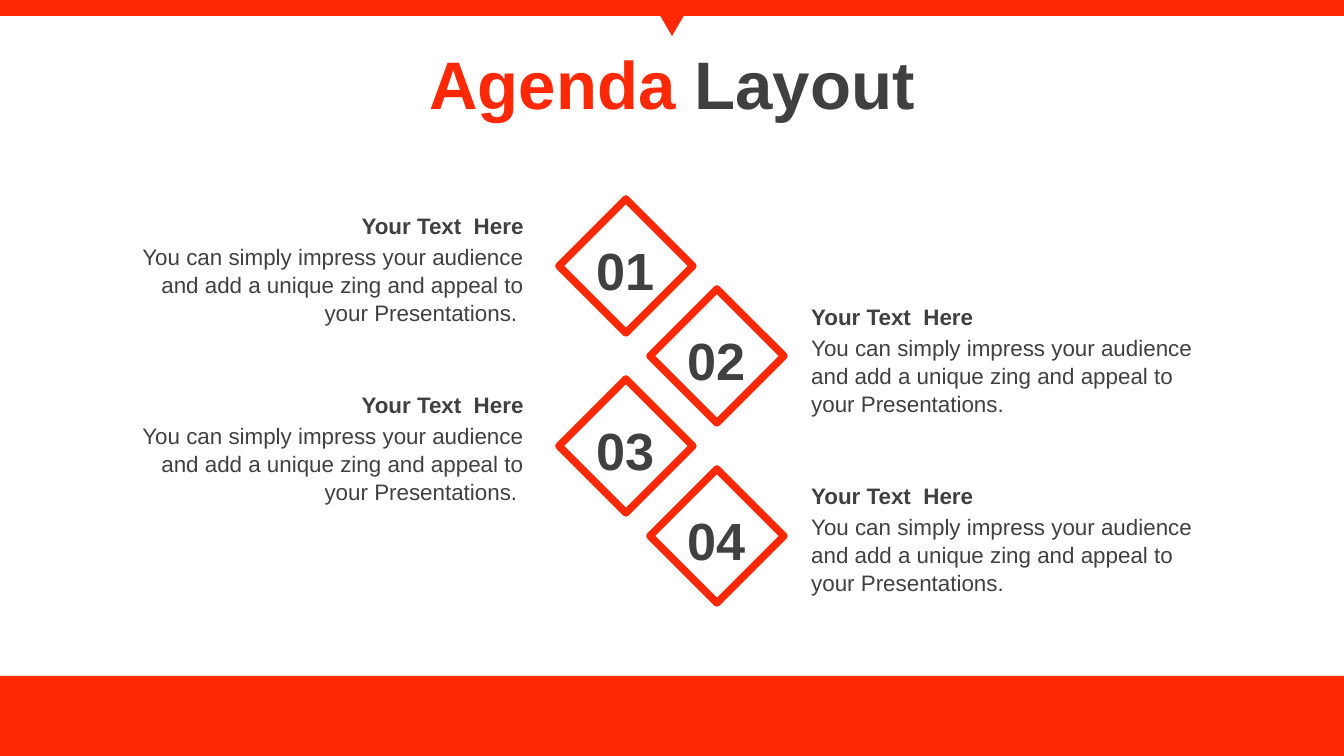
"""Build an agenda slide with four numbered diamonds and their descriptions."""
import pptx
import pptx.dml.color
import pptx.enum.shapes
import pptx.enum.text
import pptx.util
from lxml import etree

RED = pptx.dml.color.RGBColor(0xFD, 0x29, 0x06)
GREY = pptx.dml.color.RGBColor(0x40, 0x40, 0x40)
SHAPE = pptx.enum.shapes.MSO_SHAPE
ALIGN = pptx.enum.text.PP_ALIGN
EMU_PER_PX = 914400 / 134.4


def px(*lengths):
    return [pptx.util.Emu(round(length * EMU_PER_PX)) for length in lengths]


def add_text(slide, box, text, size, bold, align, wrap=True):
    frame = slide.shapes.add_textbox(*px(*box)).text_frame
    frame.word_wrap = wrap
    paragraph = frame.paragraphs[0]
    paragraph.text = text
    paragraph.alignment = align
    paragraph.line_spacing = 1.05
    paragraph.font.name = "Arial"
    paragraph.font.size = pptx.util.Pt(size)
    paragraph.font.bold = bold
    paragraph.font.color.rgb = GREY


deck = pptx.Presentation()
deck.slide_width, deck.slide_height = px(1344, 756)
slide = deck.slides.add_slide(deck.slide_layouts[5])

for kind, box, rotation in [
    (SHAPE.RECTANGLE, (0, 676, 1344, 80), 0),
    (SHAPE.RECTANGLE, (0, 0, 1344, 16), 0),
    (SHAPE.ISOSCELES_TRIANGLE, (651, 0, 42, 36), 180),
]:
    band = slide.shapes.add_shape(kind, *px(*box))
    band.rotation = rotation
    band.shadow.inherit = False
    band.fill.solid()
    band.fill.fore_color.rgb = RED
    band.line.fill.background()

title = slide.shapes.title
title.left, title.top, title.width, title.height = px(0, 17, 1344, 131)
title.text_frame.vertical_anchor = pptx.enum.text.MSO_ANCHOR.MIDDLE
heading = title.text_frame.paragraphs[0]
heading.alignment = ALIGN.CENTER
heading.font.name = "Arial"
heading.font.size = pptx.util.Pt(36)
heading.font.bold = True
for word, color in [("Agenda ", RED), ("Layout", GREY)]:
    run = heading.add_run()
    run.text = word
    run.font.color.rgb = color

description = (
    "You can simply impress your audience and add a unique zing "
    "and appeal to your Presentations."
)
sides = [
    (559, 99, ALIGN.RIGHT, description + " "),
    (650, 798, ALIGN.LEFT, description),
]
for index in range(4):
    row, side = divmod(index, 2)
    diamond_left, text_left, align, body = sides[side]
    diamond_top = 199 + 90 * index
    text_top = 204 + 179 * row + 91 * side

    diamond = slide.shapes.add_shape(
        SHAPE.DIAMOND, *px(diamond_left, diamond_top, 134, 134))
    diamond.shadow.inherit = False
    diamond.fill.background()
    diamond.line.color.rgb = RED
    diamond.line.width = pptx.util.Pt(4)
    outline = diamond.line._get_or_add_ln()
    etree.SubElement(outline, pptx.oxml.ns.qn("a:round"))

    number_box = (diamond_left + 24, diamond_top + 29, 86, 77)
    add_text(slide, number_box, f"{index + 1:02}", 28, True, ALIGN.LEFT, False)
    add_text(slide, (text_left, text_top + 31, 438, 95), body, 12, False, align)
    add_text(slide, (text_left, text_top, 438, 40), "Your Text  Here", 12, True, align)

deck.save("out.pptx")
